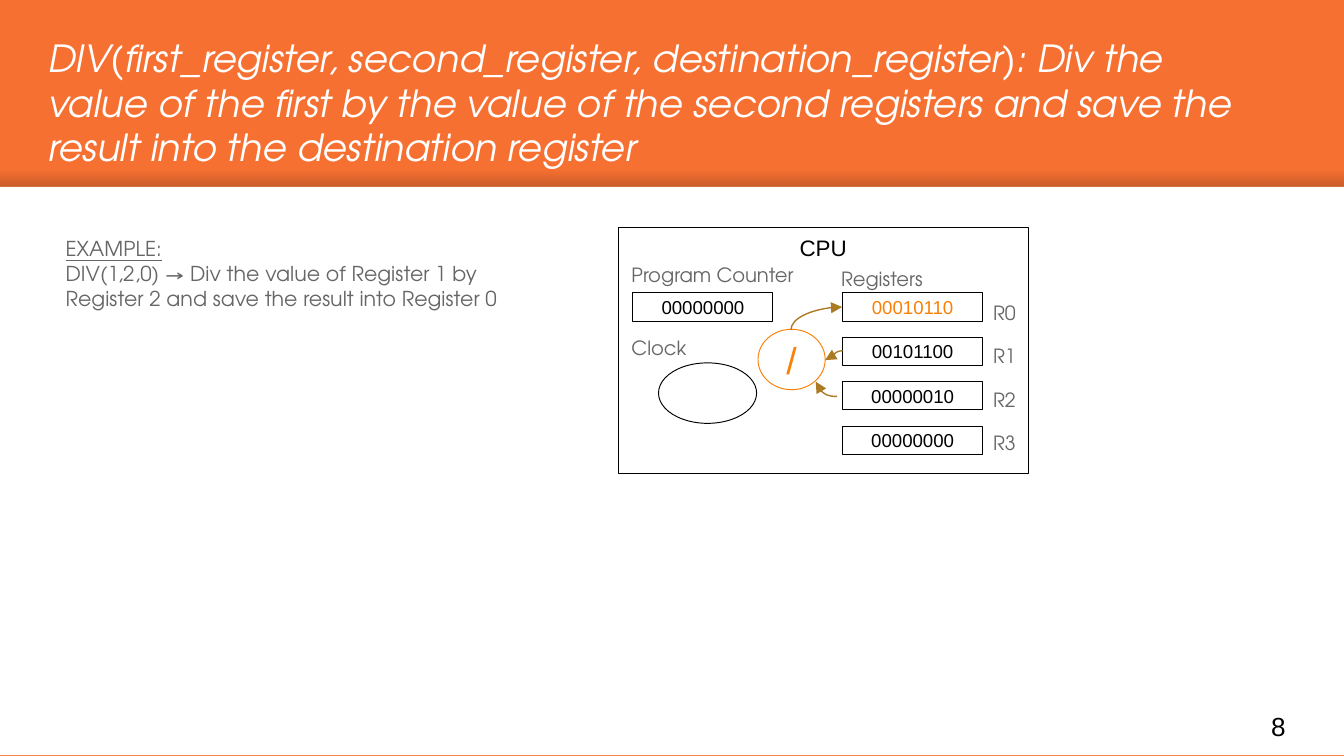
import itertools

import pptx
import pptx.dml.color
import pptx.enum.shapes
import pptx.enum.text
import pptx.oxml
import pptx.oxml.ns
import pptx.util

Inches = pptx.util.Inches
Shape = pptx.enum.shapes.MSO_SHAPE
Anchor = pptx.enum.text.MSO_ANCHOR
Align = pptx.enum.text.PP_ALIGN
SANS = "TeX Gyre Adventor"
RULE = "Noto Sans CJK SC"


def paint(code):
    return pptx.dml.color.RGBColor.from_string(code)


def node(parent, tag, **attrs):
    child = pptx.oxml.parse_xml(f"<a:{tag} {pptx.oxml.ns.nsdecls('a')}/>")
    for key, value in attrs.items():
        child.set(key, value)
    parent.append(child)


def write(shape, text, size=10.5, font=SANS, color="666666", align=Align.LEFT,
          anchor=Anchor.TOP, italic=False, head=False, inset=0.05, grow=False):
    frame = shape.text_frame
    frame.word_wrap = True
    frame.vertical_anchor = anchor
    frame.margin_top = frame.margin_bottom = Inches(inset)
    if grow:
        frame.auto_size = pptx.enum.text.MSO_AUTO_SIZE.SHAPE_TO_FIT_TEXT
    for row, line in enumerate(text.split("\n")):
        para = frame.add_paragraph() if row else frame.paragraphs[0]
        para.alignment = align
        for rule, chars in itertools.groupby(line, lambda char: char == "_"):
            run = para.add_run()
            run.text = "".join(chars)
            run.font.name = RULE if rule else font
            run.font.size = pptx.util.Pt(size)
            run.font.color.rgb = paint(color)
            run.font.italic = italic
            run.font.underline = head and row == 0


class Deck:
    """Holds the style and the slide being drawn."""

    ink, hot, gold, white, back = "000000", "FA8006", "AB7A22", "FFFFFF", "F67031"

    def __init__(self):
        self.file = pptx.Presentation()
        self.file.slide_width = Inches(10)
        self.file.slide_height = Inches(10) * 9 // 16
        self.slide = self.file.slides.add_slide(self.file.slide_layouts[6])
        fill = self.slide.background.fill
        fill.solid()
        fill.fore_color.rgb = paint(self.back)

    def form(self, kind, *box, line=None):
        item = self.slide.shapes.add_shape(kind, *map(Inches, box))
        item.shadow.inherit = False
        item.fill.solid()
        item.fill.fore_color.rgb = paint(self.white)
        if line:
            item.line.color.rgb = paint(line)
            item.line.width = pptx.util.Pt(0.5)
        else:
            item.line.fill.background()
        return item

    def shade(self, *box):
        fill = self.form(Shape.RECTANGLE, *box).fill
        fill.gradient()
        fill.gradient_angle = 270
        for place, stop in enumerate(fill.gradient_stops):
            stop.position = place
            stop.color.rgb = paint("000014")
        for tint, alpha in zip(fill._xPr.iter(pptx.oxml.ns.qn("a:srgbClr")), ("0", "20000")):
            node(tint, "alpha", val=alpha)

    def label(self, text, *box, **style):
        write(self.slide.shapes.add_textbox(*map(Inches, box)), text, **style)

    def cell(self, text, left, top, color=ink):
        item = self.form(Shape.RECTANGLE, left, top, 1.04, 0.21, line=self.ink)
        write(item, text, size=10, font="Arial", color=color,
              align=Align.CENTER, anchor=Anchor.MIDDLE)

    def curve(self, *ends, bend="curvedConnector3", turn=0):
        kind = pptx.enum.shapes.MSO_CONNECTOR.CURVE
        item = self.slide.shapes.add_connector(kind, *map(Inches, ends))
        item.line.color.rgb = paint(self.gold)
        item.line.width = pptx.util.Pt(0.75)
        node(item.line._get_or_add_ln(), "tailEnd", type="triangle")
        props = item._element.spPr
        node(props, "effectLst")
        props.find(pptx.oxml.ns.qn("a:prstGeom")).set("prst", bend)
        props.find(pptx.oxml.ns.qn("a:xfrm")).set("rot", str(turn * 60000))


def main():
    deck = Deck()
    deck.shade(-0.01, 1.27, 10.01, 0.12)
    deck.form(Shape.RECTANGLE, -0.01, 1.39, 10.01, 4.23)
    deck.label("8", 9.36, 5.19, 0.6, 0.43, size=14, font="Arial", color=deck.ink,
               anchor=Anchor.MIDDLE, inset=0.1)
    deck.label("DIV(first_register, second_register, destination_register): "
               "Div the value of the first by the value of the second registers "
               "and save the result into the destination register",
               0.26, 0.16, 9.31, 1.17, size=20, color=deck.white, italic=True, inset=0.1)
    deck.label("EXAMPLE:\nDIV(1,2,0) → Div the value of Register 1 by Register 2 "
               "and save the result into Register 0",
               0.39, 1.71, 3.58, 0.86, size=11, head=True, grow=True)

    chip = deck.form(Shape.RECTANGLE, 4.6, 1.69, 3.05, 1.83, line=deck.ink)
    write(chip, "CPU", size=12, font="Arial", color=deck.ink, align=Align.CENTER)
    for name, left, top in (("Program Counter", 4.6, 1.91),
                            ("Registers", 6.16, 1.94), ("Clock", 4.6, 2.45)):
        deck.label(name, left, top, 1.61, 0.29, grow=True)
    deck.cell("00000000", 4.71, 2.18)
    deck.form(Shape.OVAL, 4.9, 2.7, 0.73, 0.45, line=deck.ink)

    for row, bits in enumerate(("00010110", "00101100", "00000010", "00000000")):
        deck.cell(bits, 6.27, 2.18 + row * 0.33, color=deck.ink if row else deck.hot)
        deck.label(f"R{row}", 7.29, 2.19 + row * 0.97 / 3, 0.39, 0.29, grow=True)

    sign = deck.form(Shape.OVAL, 5.64, 2.45, 0.5, 0.45, line=deck.hot)
    write(sign, "/", size=20, font="Arial", color=deck.hot,
          align=Align.CENTER, anchor=Anchor.MIDDLE)
    deck.curve(6.23, 2.95, 6.07, 2.84, bend="curvedConnector2")
    deck.curve(6.27, 2.61, 6.14, 2.68)
    deck.curve(6.16, 2.56, 5.99, 2.18, bend="curvedConnector2", turn=90)
    deck.file.save("out.pptx")


if __name__ == "__main__":
    main()
